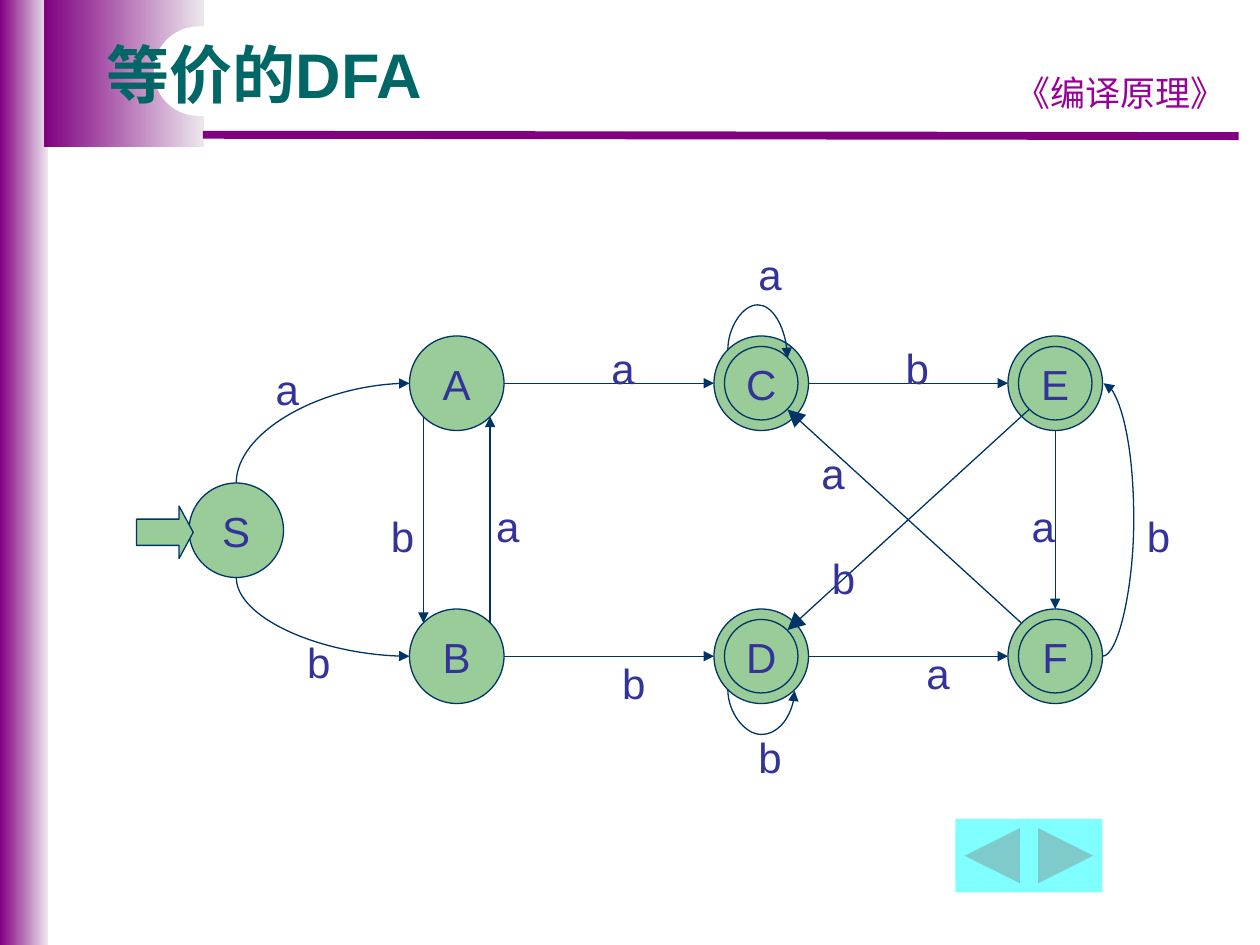
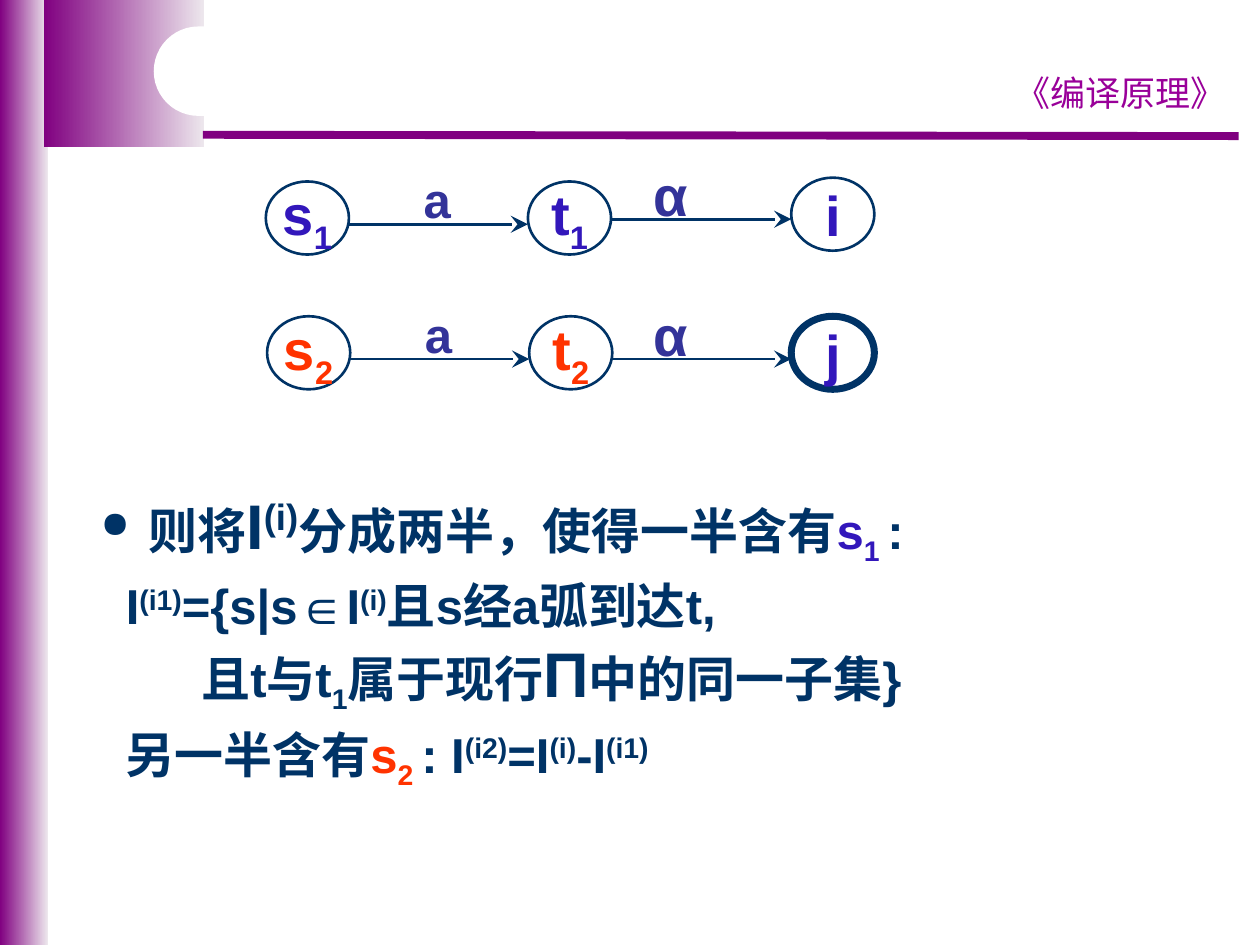
from lxml import etree
from pptx import Presentation
from pptx.dml.color import RGBColor
from pptx.enum.dml import MSO_FILL
from pptx.enum.shapes import MSO_CONNECTOR, MSO_SHAPE
from pptx.enum.text import MSO_ANCHOR, PP_ALIGN
from pptx.oxml.ns import qn
from pptx.util import Inches, Pt

RECTANGLE, ROUNDED = MSO_SHAPE.RECTANGLE, MSO_SHAPE.ROUNDED_RECTANGLE
OVAL, RIGHT_ARROW = MSO_SHAPE.OVAL, MSO_SHAPE.RIGHT_ARROW
BACK, FORWARD = MSO_SHAPE.ACTION_BUTTON_BACK_OR_PREVIOUS, MSO_SHAPE.ACTION_BUTTON_FORWARD_OR_NEXT
STRAIGHT, CURVE = MSO_CONNECTOR.STRAIGHT, MSO_CONNECTOR.CURVE
LEFT, CENTER = PP_ALIGN.LEFT, PP_ALIGN.CENTER
TOP, MIDDLE = MSO_ANCHOR.TOP, MSO_ANCHOR.MIDDLE
SOLID = MSO_FILL.SOLID

PURPLE, PALE, MAGENTA, WHITE = "800080", "EDE7ED", "990099", "FFFFFF"
TEAL, NAVY, GREEN, CYAN = "006666", "003366", "99CC99", "00FFFF"
INDIGO, VIOLET, RED = "333399", "3217BB", "FF3300"
FONT, COURSE_FONT = "Arial", "Comic Neue"

CELLS_PER_INCH = 12
RADIUS, INNER_RADIUS, DIAGONAL = 4.5, 3.5, 3.18
STATES = {"S": (22.5, 50.5), "A": (43.5, 36.5), "B": (43.5, 62.5), "C": (72.5, 36.5),
          "D": (72.5, 62.5), "E": (100.5, 36.5), "F": (100.5, 62.5)}
FINAL_STATES = "CDEF"
INPUT_LABELS = {
    "a": [(71, 23), (25, 34), (46, 47), (57, 32), (97, 47), (87, 61), (77, 42)],
    "b": [(108, 48), (28, 60), (36, 48), (58, 62), (85, 32), (71, 69), (78, 52)],
}


def color(value):
    """Turn a hex string into a colour."""
    return RGBColor.from_string(value)


def grid(*cells):
    """Turn twelfths of an inch into lengths."""
    return [Inches(cell / CELLS_PER_INCH) for cell in cells]


def inches(*values):
    """Turn inches into grid cells."""
    return [value * CELLS_PER_INCH for value in values]


def add_figure(slide, kind, box, fill=None, line=None, width=0.75, alpha=None):
    """Add a preset shape; a pair of fills makes a gradient."""
    shape = slide.shapes.add_shape(kind, *grid(*box))
    shape.shadow.inherit = False
    if isinstance(fill, tuple):
        shape.fill.gradient()
        shape.fill.gradient_angle = 0
        for stop, value in zip(shape.fill.gradient_stops, fill):
            stop.color.rgb = color(value)
    elif fill:
        shape.fill.solid()
        shape.fill.fore_color.rgb = color(fill)
    else:
        shape.fill.background()
    if alpha and shape.fill.type == SOLID:
        tint = shape.fill._xPr.find(".//" + qn("a:srgbClr"))
        etree.SubElement(tint, qn("a:alpha")).set("val", str(alpha * 1000))
    if line:
        shape.line.color.rgb = color(line)
        shape.line.width = Pt(width)
    else:
        shape.line.fill.background()
    return shape


def add_box(slide, box):
    """Add an empty text box."""
    return slide.shapes.add_textbox(*grid(*box))


def write(shape, *paragraphs, size=24, ink=INDIGO, font=FONT, bold=False,
          align=CENTER, anchor=MIDDLE, wrap=False, spacing=None):
    """Write paragraphs of (text, overrides) runs and return the paragraphs."""
    frame = shape.text_frame
    frame.word_wrap = wrap
    frame.vertical_anchor = anchor
    for index, runs in enumerate(paragraphs):
        paragraph = frame.paragraphs[0] if index == 0 else frame.add_paragraph()
        paragraph.alignment = align
        paragraph.line_spacing = spacing
        for text, changes in [(runs, {})] if isinstance(runs, str) else runs:
            run = paragraph.add_run()
            run.text = text
            run.font.name = font
            run.font.bold = bold
            run.font.size = Pt(changes.get("size", size))
            run.font.color.rgb = color(changes.get("ink", ink))
            if "base" in changes:
                run.font._element.set("baseline", str(changes["base"] * 1000))
    return frame.paragraphs


def indent(paragraph, margin, first=0, bullet=None):
    """Set the left margin, first-line indent and bullet of a paragraph."""
    properties = paragraph._p.get_or_add_pPr()
    properties.set("marL", str(Inches(margin)))
    properties.set("indent", str(Inches(first)))
    if bullet:
        etree.SubElement(properties, qn("a:buSzPct")).set("val", "75000")
        etree.SubElement(properties, qn("a:buChar")).set("char", bullet)
    else:
        etree.SubElement(properties, qn("a:buNone"))


def style_line(connector, ink=NAVY, width=0.75, head=None, head_size="med"):
    """Give a connector its colour, width and arrowhead, without shadow."""
    connector.line.color.rgb = color(ink)
    connector.line.width = Pt(width)
    if head:
        tail = etree.SubElement(connector.line._get_or_add_ln(), qn("a:tailEnd"))
        for name, value in (("type", head), ("w", head_size), ("len", head_size)):
            tail.set(name, value)
    etree.SubElement(connector._element.spPr, qn("a:effectLst"))


def add_line(slide, start, end, **style):
    """Draw a straight line."""
    style_line(slide.shapes.add_connector(STRAIGHT, *grid(*start, *end)), **style)


def add_curve(slide, start, end, turn, bulge=None):
    """Draw a curved arrow turned by 0, 90 or 270 degrees; no bulge gives a quarter bend."""
    across, down = end[0] - start[0], end[1] - start[1]
    run, rise = {0: (across, down), 90: (down, -across), 270: (-down, across)}[turn]
    middle = (start[0] + end[0]) / 2, (start[1] + end[1]) / 2
    corners = (middle[0] - run / 2, middle[1] - rise / 2,
               middle[0] + run / 2, middle[1] + rise / 2)
    connector = slide.shapes.add_connector(CURVE, *grid(*corners))
    properties = connector._element.spPr
    properties.find(qn("a:xfrm")).set("rot", str(turn * 60000))
    geometry = properties.find(qn("a:prstGeom"))
    if bulge is None:
        geometry.set("prst", "curvedConnector2")
    else:
        guide = etree.SubElement(geometry.find(qn("a:avLst")), qn("a:gd"))
        guide.set("name", "adj1")
        guide.set("fmla", f"val {round(bulge / run * 100000)}")
    style_line(connector, head="triangle")


def add_frame(slide):
    """Draw the bands, rule and course name that the slides share."""
    for box in ((0, 0, 0.38, 7.5), (0.35, 0, 1.27, 1.17)):
        add_figure(slide, RECTANGLE, inches(*box), (PURPLE, PALE))
    add_line(slide, inches(1.61, 1.07), inches(9.83, 1.08), ink=PURPLE, width=4.5)
    write(add_box(slide, inches(7.91, 0.52, 1.97, 0.43)), "《编译原理》",
          size=20, ink=MAGENTA, font=COURSE_FONT, anchor=TOP, wrap=True)
    add_figure(slide, ROUNDED, inches(1.22, 0.21, 3.62, 0.71), WHITE).adjustments[0] = 0.5


def add_state(slide, name):
    """Draw a state circle, doubled when the state is final."""
    x, y = STATES[name]
    for radius in (RADIUS, INNER_RADIUS) if name in FINAL_STATES else (RADIUS,):
        circle = add_figure(slide, OVAL, (x - radius, y - radius, 2 * radius, 2 * radius),
                            GREEN, NAVY)
    write(circle, name)


def beside(name, across, down):
    """Give a point at an offset from the centre of a state."""
    x, y = STATES[name]
    return x + across, y + down


def build_automaton(slide):
    """Build the state diagram slide."""
    add_frame(slide)
    title = write(add_box(slide, inches(0.5, 0.3, 9, 1.25)), "等价的DFA", size=36, ink=TEAL,
                  bold=True, align=LEFT, anchor=TOP, wrap=True, spacing=0.9)
    indent(title[0], 0.25)
    for column, kind in enumerate((BACK, FORWARD)):
        add_figure(slide, kind, (91 + 7 * column, 78, 7, 7), CYAN, alpha=50)

    for name in "SABCDE":
        add_state(slide, name)
    for source, target in ("AC", "BD", "DF", "CE"):
        add_line(slide, beside(source, RADIUS, 0), beside(target, -RADIUS, 0), head="triangle")
    add_line(slide, beside("E", 0, RADIUS), beside("F", 0, -RADIUS), head="triangle")
    for source, target, side in (("A", "B", -1), ("B", "A", 1)):
        add_line(slide, beside(source, side * DIAGONAL, -side * DIAGONAL),
                 beside(target, side * DIAGONAL, side * DIAGONAL), head="triangle")
    for source, target, side in (("F", "C", -1), ("E", "D", 1)):
        add_line(slide, beside(source, -2.5, side * 2.5), beside(target, 2.5, -side * 2.5),
                 head="triangle", head_size="lg")
    for target, side in (("A", -1), ("B", 1)):
        add_curve(slide, beside("S", 0, side * RADIUS), beside(target, -RADIUS, 0), 270)
    add_curve(slide, beside("F", RADIUS, 0), beside("E", RADIUS + 0.1, 0), 0, bulge=3)
    add_curve(slide, beside("C", -DIAGONAL, -DIAGONAL), beside("C", 2.5, -2.4), 90, bulge=-4.3)
    add_curve(slide, beside("D", -DIAGONAL, DIAGONAL), beside("D", DIAGONAL, DIAGONAL + 0.1),
              270, bulge=-4.3)
    for text, places in INPUT_LABELS.items():
        for place in places:
            write(add_box(slide, (*place, 4.7, 6.1)), text)
    entry = add_figure(slide, RIGHT_ARROW, (13, 48.2, 5.4, 5), GREEN, NAVY)
    entry.adjustments[1] = 0.27
    add_state(slide, "F")


def add_chain(slide, top, left, number, ink, last, last_top, last_width, second_line):
    """Draw one row of three states joined by arrows."""
    width, height, step, arrow_drop = 0.66, 0.58, 2.08, 0.34
    for column, letter in enumerate("st"):
        oval = add_figure(slide, OVAL, inches(left + column * step, top, width, height),
                          line=NAVY, width=1.5)
        write(oval, [(letter, {}), (number, {"base": -25})], size=32, ink=ink, bold=True)
    oval = add_figure(slide, OVAL, inches(6.28, last_top, width, height),
                      line=NAVY, width=last_width)
    write(oval, last, size=32, ink=VIOLET, bold=True)
    for start, end, y in ((left + width, left + step, top + arrow_drop), (4.86, 6.28, second_line)):
        add_line(slide, inches(start, y), inches(end, y), width=1.5,
                 head="stealth", head_size="lg")
    for text, x, y, size in (("a", left + 0.9, top - 0.15, 28),
                             ("α", 4.86, second_line - 0.49, 32)):
        write(add_box(slide, inches(x, y, 0.92, height)), text, size=size, bold=True)


def build_partition(slide):
    """Build the slide that splits a subset in two."""
    add_frame(slide)
    add_chain(slide, 1.44, 2.11, "1", VIOLET, "i", 1.41, 1.5, 1.74)
    add_chain(slide, 2.51, 2.12, "2", RED, "j", 2.51, 4, 2.85)
    plain, large, above, below = {}, {"size": 36}, {"base": 30}, {"base": -25}
    paragraphs = write(
        add_box(slide, inches(0.7, 3.81, 8.75, 2.69)),
        [("则将", plain), ("I", large), ("(i)", {**large, **above}),
         ("分成两半，使得一半含有", plain), ("s", {"ink": VIOLET}),
         ("1 ", {"ink": VIOLET, **below}), (":", plain)],
        [("I", plain), ("(i1)", above), ("={s|s∈I", plain), ("(i)", above),
         ("且s经a弧到达t,", plain)],
        [("且t与t", plain), ("1", below), ("属于现行", plain), ("Π", large),
         ("中的同一子集}", plain)],
        [("另一半含有", plain), ("s", {"ink": RED}), ("2 ", {"ink": RED, **below}),
         (": I", plain), ("(i2)", above), ("=I", plain), ("(i)", above),
         ("-I", plain), ("(i1)", above)],
        size=28, ink=NAVY, bold=True, align=LEFT, anchor=TOP, wrap=True)
    for index in (1, 3):
        paragraphs[index].space_before = Pt(5)
    indent(paragraphs[0], 0.38, -0.38, "●")
    for paragraph, margin in zip(paragraphs[1:], (0.2, 0.8, 0.2)):
        indent(paragraph, margin)


def main():
    """Build both slides and save the presentation."""
    presentation = Presentation()
    presentation.slide_width, presentation.slide_height = Inches(10), Inches(7.5)
    for build in (build_automaton, build_partition):
        build(presentation.slides.add_slide(presentation.slide_layouts[6]))
    presentation.save("out.pptx")


if __name__ == "__main__":
    main()
